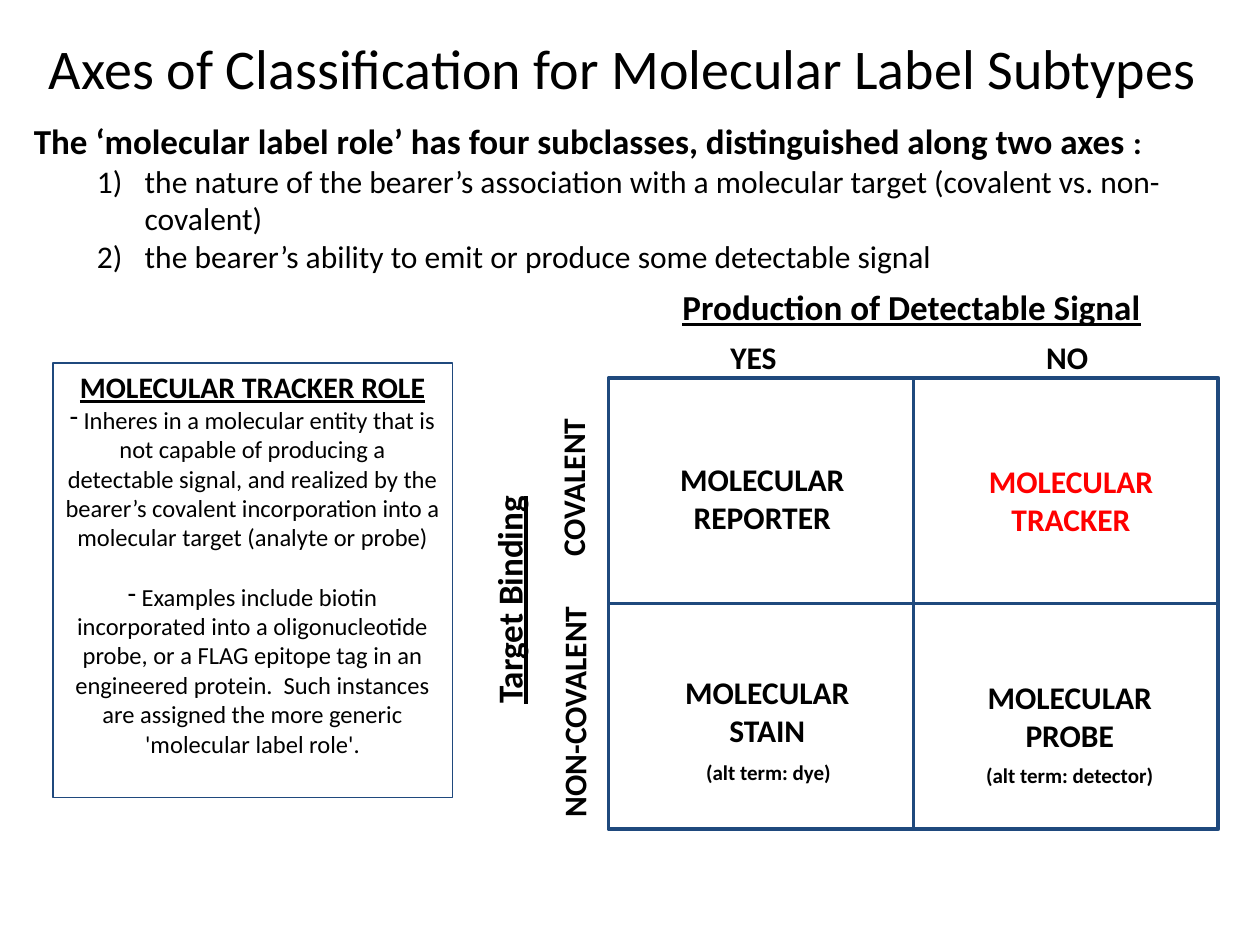
from dataclasses import dataclass
from typing import Optional

from lxml import etree
from pptx import Presentation
from pptx import util as u
from pptx.dml.color import RGBColor
from pptx.enum import shapes, text
from pptx.oxml.ns import qn


@dataclass(frozen=True)
class Theme:
    font: str = "Calibri"
    ink: str = "000000"
    accent: str = "FF0000"
    line: str = "1F497D"
    title: float = 32
    heading: float = 20
    label: float = 18
    role: float = 17
    body: float = 14
    note: float = 12
    thin: float = 0.75
    thick: float = 2.25


T = Theme()


@dataclass(frozen=True)
class Label:
    """Centred bold text; one paragraph per line."""
    lines: tuple[str, ...]
    left: float
    top: float
    width: float
    height: float
    size: float = T.label
    color: str = T.ink
    underline: bool = False
    rotation: float = 0


LABELS = (
    Label(("MOLECULAR", "REPORTER"), 5.29, 3.6, 1.52, 0.71),
    Label(("MOLECULAR", "TRACKER"), 7.71, 3.62, 1.58, 0.71, color=T.accent),
    Label(("MOLECULAR", "STAIN"), 5.33, 5.29, 1.52, 0.71),
    Label(("MOLECULAR", "PROBE"), 7.73, 5.33, 1.52, 0.71),
    Label(("(alt term: dye)",), 5.5, 5.98, 1.2, 0.3, T.note),
    Label(("(alt term: detector)",), 7.72, 6, 1.54, 0.3, T.note),
    Label(("Production of Detectable Signal",), 5.3, 2.22, 3.87, 0.44,
          T.heading, underline=True),
    Label(("YES",), 5.68, 2.63, 0.6, 0.4),
    Label(("NO",), 8.17, 2.63, 0.6, 0.4),
    Label(("Target Binding",), 3.11, 4.54, 1.86, 0.44,
          T.heading, underline=True, rotation=270),
    Label(("COVALENT",), 3.89, 3.67, 1.31, 0.4, rotation=270),
    Label(("NON-COVALENT",), 3.61, 5.45, 1.89, 0.4, rotation=270),
)

AXES = (
    "the nature of the bearer’s association with a molecular target "
    "(covalent vs. non-covalent)",
    "the bearer’s ability to emit or produce some detectable signal",
)

ROLE_NOTES = (
    " Inheres in a molecular entity that is not capable of producing a "
    "detectable signal, and realized by the bearer’s covalent incorporation "
    "into a molecular target (analyte or probe)",
    " Examples include biotin incorporated into a oligonucleotide probe, or "
    "a FLAG epitope tag in an engineered protein.  Such instances are "
    "assigned the more generic 'molecular label role'.",
)


def add_run(p, words: str, size: float, color: str = T.ink,
            bold: bool = False, underline: bool = False) -> None:
    r = p.add_run()
    r.text = words
    f = r.font
    f.name, f.size, f.bold, f.underline = T.font, u.Pt(size), bold, underline
    f.color.rgb = RGBColor.from_string(color)


def set_bullet(p, tag: str, margin: float, indent: float, **attrs: str) -> None:
    pPr = p._p.get_or_add_pPr()
    pPr.set("marL", str(u.Inches(margin)))
    pPr.set("indent", str(u.Inches(indent)))
    bullet = etree.SubElement(pPr, qn(tag))
    for name, value in attrs.items():
        bullet.set(name, value)


def add_text_box(s, left: float, top: float, width: float, height: float,
                 wrap: bool = True):
    sp = s.shapes.add_textbox(u.Inches(left), u.Inches(top),
                              u.Inches(width), u.Inches(height))
    sp.text_frame.word_wrap = wrap
    return sp


def add_label(s, label: Label) -> None:
    sp = add_text_box(s, label.left, label.top, label.width, label.height, False)
    sp.rotation = label.rotation
    tf = sp.text_frame
    for i, line in enumerate(label.lines):
        p = tf.add_paragraph() if i else tf.paragraphs[0]
        p.alignment = text.PP_ALIGN.CENTER
        add_run(p, line, label.size, label.color, True, label.underline)


def add_frame(container, left: float, top: float, width: float, height: float,
              weight: float):
    sp = container.add_shape(shapes.MSO_SHAPE.RECTANGLE, u.Inches(left),
                             u.Inches(top), u.Inches(width), u.Inches(height))
    sp.shadow.inherit = False
    sp.fill.background()
    sp.line.color.rgb = RGBColor.from_string(T.line)
    sp.line.width = u.Pt(weight)
    return sp


def add_divider(container, x1: float, y1: float, x2: float, y2: float) -> None:
    line = container.add_connector(shapes.MSO_CONNECTOR.STRAIGHT, u.Inches(x1),
                                   u.Inches(y1), u.Inches(x2), u.Inches(y2))
    line.line.color.rgb = RGBColor.from_string(T.line)
    line.line.width = u.Pt(T.thick)
    etree.SubElement(line._element.spPr, qn("a:effectLst"))


def add_matrix(s, left: float, top: float, width: float, height: float) -> None:
    """Two-by-two grid of label subtypes."""
    group = s.shapes.add_group_shape().shapes
    add_frame(group, left, top, width, height, T.thick)
    mid_x, mid_y = left + width / 2, top + height / 2
    add_divider(group, mid_x, top, mid_x, top + height)
    add_divider(group, left, mid_y, left + width, mid_y)


def add_role_box(s) -> None:
    sp = add_frame(s.shapes, 0.42, 2.88, 3.17, 3.45, T.thin)
    tf = sp.text_frame
    tf.word_wrap = True
    tf.vertical_anchor = text.MSO_ANCHOR.TOP
    p = tf.paragraphs[0]
    p.alignment = text.PP_ALIGN.CENTER
    add_run(p, "MOLECULAR TRACKER ROLE", T.role, bold=True, underline=True)
    gap: Optional[u.Pt] = None
    for note in ROLE_NOTES:
        p = tf.add_paragraph()
        p.alignment = text.PP_ALIGN.CENTER
        p.space_before = gap
        set_bullet(p, "a:buChar", 0, 0, char="-")
        add_run(p, note, T.body)
        gap = u.Pt(17)


def add_intro(s) -> None:
    tf = add_text_box(s, 0.17, 0.9, 9.75, 1.35).text_frame
    p = tf.paragraphs[0]
    add_run(p, "The ‘molecular label role’ has four subclasses, "
               "distinguished along two axes ", T.heading, bold=True)
    add_run(p, ":", T.label, bold=True)
    for axis in AXES:
        p = tf.add_paragraph()
        p.level = 1
        set_bullet(p, "a:buAutoNum", 0.88, -0.38, type="arabicParenR")
        add_run(p, axis, T.label)


def main() -> None:
    prs = Presentation()
    prs.slide_width, prs.slide_height = u.Inches(10), u.Inches(7.5)
    s = prs.slides.add_slide(prs.slide_layouts[6])
    add_role_box(s)
    add_matrix(s, 4.83, 3, 4.84, 3.58)
    title = add_text_box(s, 0.29, 0.22, 9.42, 0.64)
    add_run(title.text_frame.paragraphs[0],
            "Axes of Classification for Molecular Label Subtypes", T.title)
    for label in LABELS:
        add_label(s, label)
    add_intro(s)
    prs.save("out.pptx")


if __name__ == "__main__":
    main()
